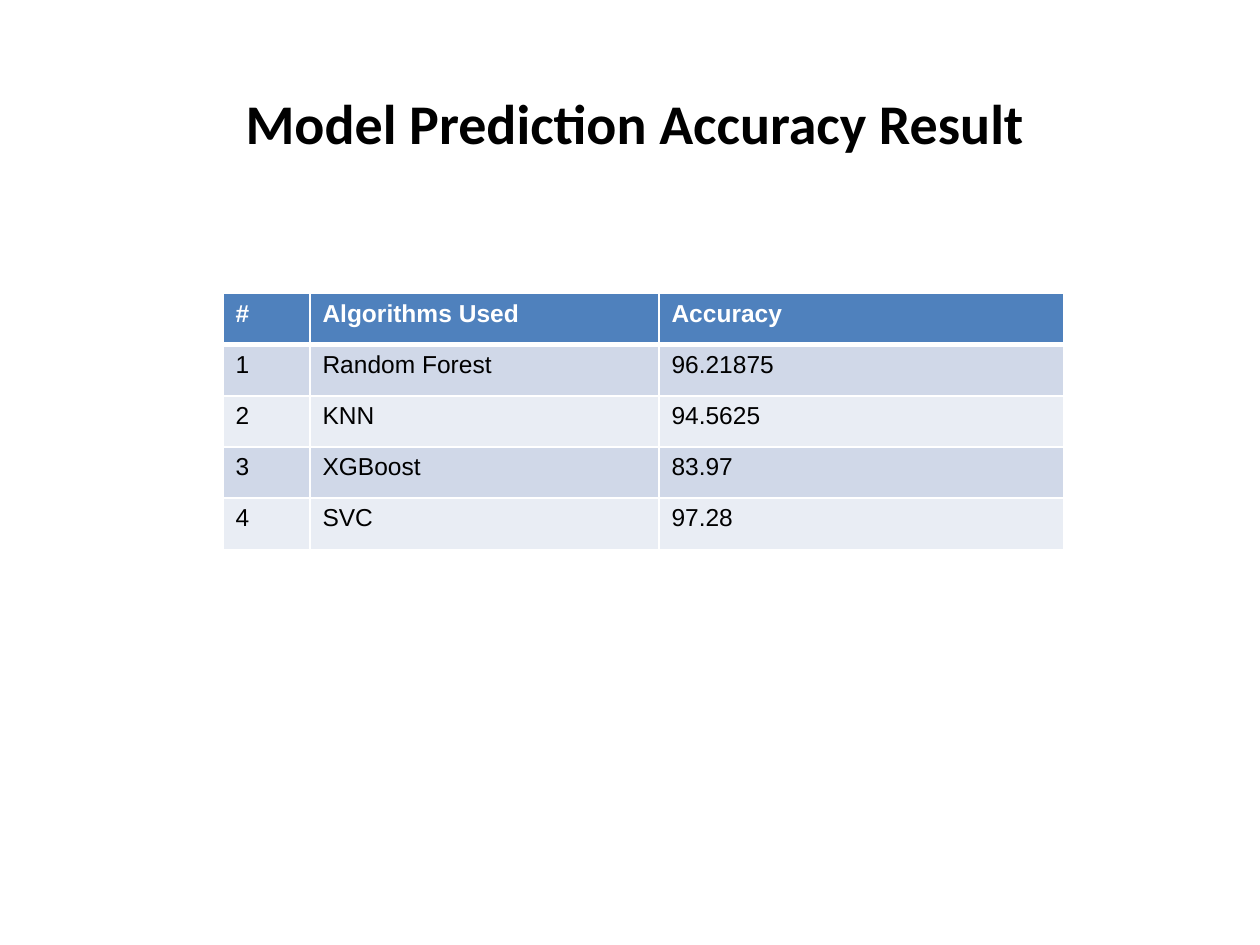
from lxml import etree
from pptx import Presentation
from pptx.dml.color import RGBColor
from pptx.enum.text import MSO_ANCHOR, PP_ALIGN
from pptx.oxml.ns import qn
from pptx.util import Inches, Pt

CENTER, LEFT = PP_ALIGN.CENTER, PP_ALIGN.LEFT
MIDDLE = MSO_ANCHOR.MIDDLE
TITLE_ONLY = 5
WHITE, BLACK = "FFFFFF", "000000"
HEADER_FILL, BAND_FILLS = "4F81BD", ("D0D8E8", "E9EDF4")


def write(frame, text, font="Arial", size=14, color=BLACK, bold=False, align=LEFT):
    para = frame.paragraphs[0]
    para.alignment = align
    span = para.add_run()
    span.text = text
    span.font.name, span.font.size, span.font.bold = font, Pt(size), bold
    span.font.color.rgb = RGBColor.from_string(color)


def add_border(cell, side, width, color=WHITE):
    line = etree.SubElement(cell._tc.get_or_add_tcPr(), qn(f"a:ln{side}"), w=str(Pt(width)))
    fill = etree.SubElement(line, qn("a:solidFill"))
    etree.SubElement(fill, qn("a:srgbClr"), val=color)


deck = Presentation()
deck.slide_width, deck.slide_height = Inches(10), Inches(7.5)
page = deck.slides.add_slide(deck.slide_layouts[TITLE_ONLY])

# Title
title = page.shapes.title
title.left, title.top = Inches(0.5), Inches(0.33)
title.width, title.height = Inches(9.08), Inches(1.28)
title.text_frame.vertical_anchor = MIDDLE
write(title.text_frame, "Model Prediction Accuracy Result",
      font="Calibri", size=32, bold=True, align=CENTER)

# Accuracy table
results = [
    ("#", "Algorithms Used", "Accuracy"),
    ("1", "Random Forest", "96.21875"),
    ("2", "KNN", "94.5625"),
    ("3", "XGBoost", "83.97"),
    ("4", "SVC", "97.28"),
]
column_widths = (0.69, 2.77, 3.21)
table = page.shapes.add_table(
    len(results), len(column_widths), Inches(1.77), Inches(2.33),
    Inches(sum(column_widths)), Inches(2.03)).table
for column, width in zip(table.columns, column_widths):
    column.width = Inches(width)

for row, values in enumerate(results):
    is_header = row == 0
    for column, value in enumerate(values):
        cell = table.cell(row, column)
        # Thick rule between the header and the first result
        for side in "LRTB":
            thick = (row, side) in ((0, "B"), (1, "T"))
            add_border(cell, side, 3 if thick else 1)
        cell.fill.solid()
        fill = HEADER_FILL if is_header else BAND_FILLS[(row - 1) % 2]
        cell.fill.fore_color.rgb = RGBColor.from_string(fill)
        write(cell.text_frame, value, color=WHITE if is_header else BLACK, bold=is_header)

deck.save("out.pptx")
